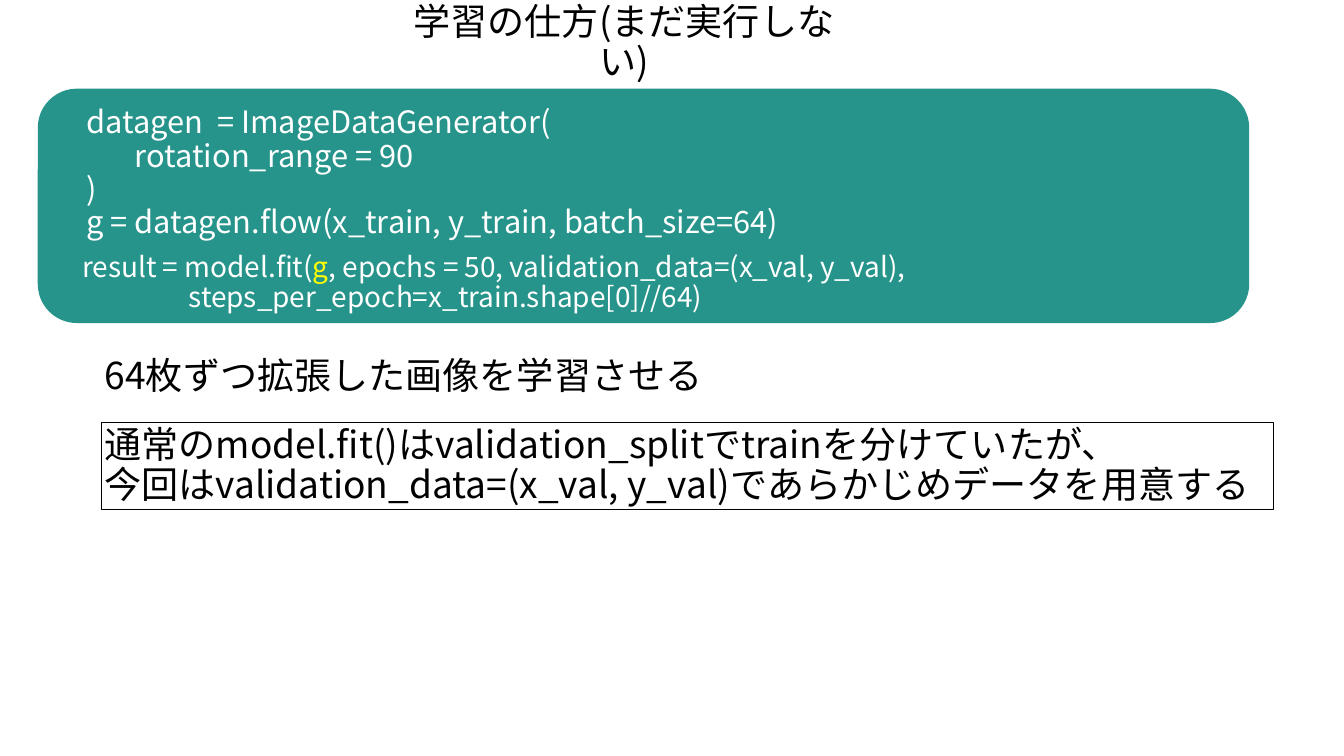
from lxml.etree import SubElement
from pptx import Presentation
from pptx.dml.color import RGBColor
from pptx.enum.shapes import MSO_SHAPE as Preset
from pptx.enum.text import MSO_ANCHOR as Anchor, PP_ALIGN as Align
from pptx.oxml.ns import qn
from pptx.util import Inches, Pt

FONT = "Noto Sans CJK JP"
BLACK = RGBColor(0x00, 0x00, 0x00)
WHITE = RGBColor(0xFF, 0xFF, 0xFF)
YELLOW = RGBColor(0xFF, 0xFF, 0x00)
TEAL = RGBColor(0x26, 0x94, 0x8B)

deck = Presentation()
deck.slide_width, deck.slide_height = Inches(26.67), Inches(15)
slide = deck.slides.add_slide(deck.slide_layouts[5])
column, row = deck.slide_width / 100, deck.slide_height / 100


def area(left, top, width, height):
    """Turn percentages of the slide into left, top, width and height."""
    return [round(n) for n in (left * column, top * row, width * column, height * row)]


def write(shape, lines, size=53, color=BLACK, align=Align.LEFT, anchor=Anchor.MIDDLE,
          inset=(0.06, 0.06)):
    """Fill a shape with lines, each a list of strings or (string, colour) pairs."""
    frame = shape.text_frame
    frame.word_wrap = True
    frame.vertical_anchor = anchor
    frame.margin_left = frame.margin_right = Inches(inset[0])
    frame.margin_top = frame.margin_bottom = Inches(inset[1])
    for number, line in enumerate(lines):
        paragraph = frame.add_paragraph() if number else frame.paragraphs[0]
        paragraph.alignment = align
        paragraph.line_spacing = 0.9
        for part in line:
            words, tint = part if isinstance(part, tuple) else (part, color)
            run = paragraph.add_run()
            run.text = words
            run.font.size = Pt(size)
            run.font.name = FONT
            run.font.color.rgb = tint
            SubElement(run.font._element, qn("a:ea"), typeface=FONT)


title = slide.shapes.title
title.left, title.top, title.width, title.height = area(29.55, 2.73, 33.75, 6.07)
write(title, [["学習の仕方(まだ実行しない)"]], align=Align.CENTER)

code_panel = slide.shapes.add_shape(Preset.ROUNDED_RECTANGLE, *area(2.81, 11.73, 90.14, 31))
code_panel.shadow.inherit = False
code_panel.fill.solid()
code_panel.fill.fore_color.rgb = TEAL
code_panel.line.fill.background()

code_style = dict(color=WHITE, anchor=Anchor.TOP, inset=(0.1, 0.05))
generator_code = slide.shapes.add_textbox(*area(6.07, 13.87, 90.14, 18.47))
write(generator_code, [
    ["datagen  = ImageDataGenerator("],
    ["       rotation_range = 90"],
    [")"],
    ["g = datagen.flow(x_train, y_train, batch_size=64)"],
], size=44, **code_style)

fit_code = slide.shapes.add_textbox(*area(5.74, 33.13, 84.25, 8.73))
write(fit_code, [
    ["result = model.fit(", ("g", YELLOW), ", epochs = 50, validation_data=(x_val, y_val),"],
    ["                 steps_per_epoch=x_train.shape[0]//64)"],
], size=40, **code_style)

batch_note = slide.shapes.add_textbox(*area(7.57, 46.93, 45.86, 6.07))
write(batch_note, [["64枚ずつ拡張した画像を学習させる"]])

validation_note = slide.shapes.add_shape(Preset.RECTANGLE, *area(7.54, 55.93, 87.18, 11.47))
validation_note.shadow.inherit = False
validation_note.fill.background()
validation_note.line.color.rgb = BLACK
validation_note.line.width = Pt(1)
write(validation_note, [
    ["通常のmodel.fit()はvalidation_splitでtrainを分けていたが、"],
    ["今回はvalidation_data=(x_val, y_val)であらかじめデータを用意する"],
])

deck.save("out.pptx")
